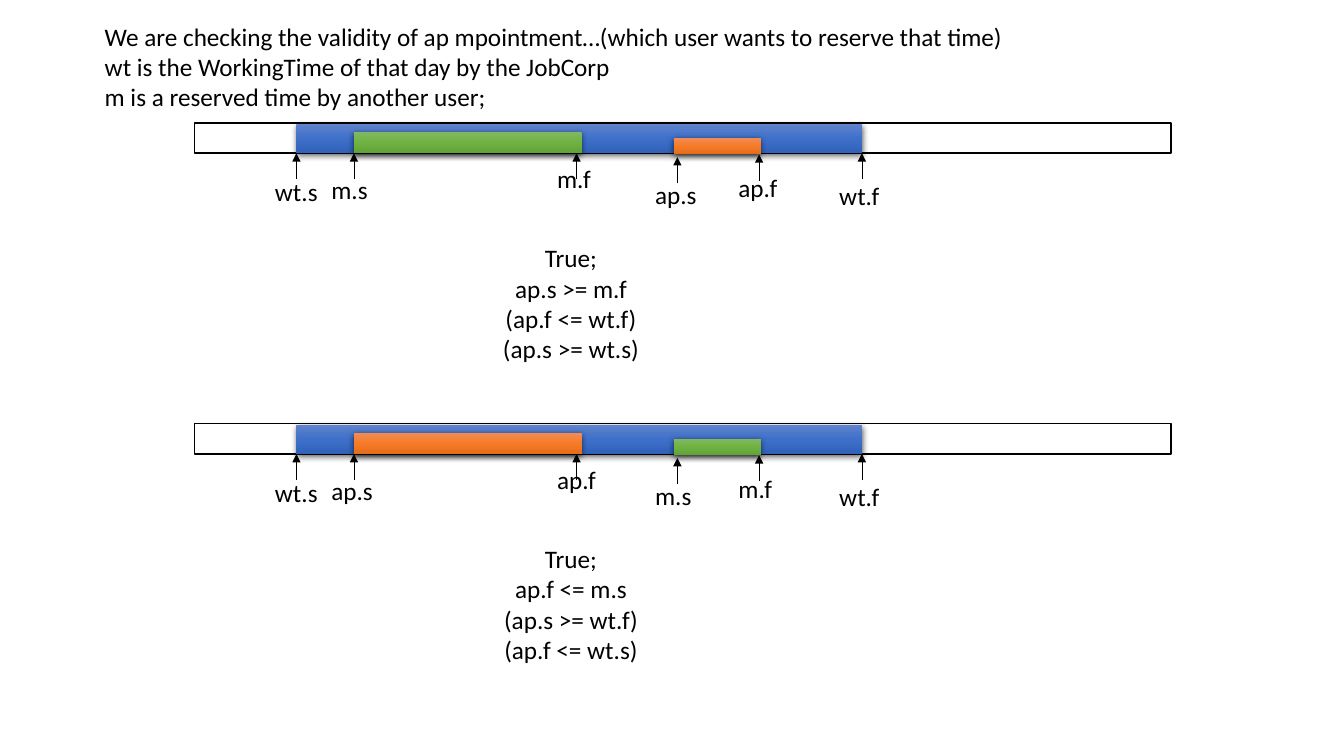
from copy import deepcopy

from lxml import etree
from pptx import Presentation
from pptx.dml.color import RGBColor
from pptx.enum.shapes import MSO_CONNECTOR, MSO_SHAPE
from pptx.enum.text import MSO_AUTO_SIZE, PP_ALIGN
from pptx.oxml.ns import qn
from pptx.util import Cm, Pt

RECT = MSO_SHAPE.RECTANGLE
STRAIGHT = MSO_CONNECTOR.STRAIGHT
FIT = MSO_AUTO_SIZE.SHAPE_TO_FIT_TEXT
LEFT, CENTER = PP_ALIGN.LEFT, PP_ALIGN.CENTER

BLUE = ["6183CB", "3E70CA", "3062BB"]
GREEN = ["81B861", "6FB242", "62A336"]
ORANGE = ["F18C57", "F67B28", "E56C19"]


def rgb(color):
    return RGBColor.from_string(color)


class Deck:
    font, size, ink, paper = "Calibri", 18, "000000", "FFFFFF"

    def __init__(self, width, height):
        self.prs = Presentation()
        self.prs.slide_width, self.prs.slide_height = Cm(width), Cm(height)
        self.s = self.prs.slides.add_slide(self.prs.slide_layouts[6])

    def rect(self, x, y, w, h):
        sp = self.s.shapes.add_shape(RECT, Cm(x), Cm(y), Cm(w), Cm(h))
        sp.shadow.inherit = False
        return sp

    def frame(self, x, y, w, h):
        sp = self.rect(x, y, w, h)
        sp.fill.solid()
        sp.fill.fore_color.rgb = rgb(self.paper)
        sp.line.color.rgb = rgb(self.ink)
        sp.line.width = Pt(1)

    def bar(self, x, y, w, h, colors):
        sp = self.rect(x, y, w, h)
        sp.line.fill.background()
        # Three-stop gradient, running downwards
        sp.fill.gradient()
        sp.fill.gradient_angle = 270
        spPr = sp._element.spPr
        stops = spPr.find(".//" + qn("a:gsLst"))
        stops.append(deepcopy(stops[0]))
        for stop, position, color in zip(sp.fill.gradient_stops, (0, 0.5, 1), colors):
            stop.position = position
            stop.color.rgb = rgb(color)
        # Soft shadow below
        shadow = etree.SubElement(
            spPr.find(qn("a:effectLst")), qn("a:outerShdw"),
            blurRad=str(Pt(4.5)), dist=str(Pt(1.5)), dir="5400000",
            algn="ctr", rotWithShape="0")
        black = etree.SubElement(shadow, qn("a:srgbClr"), val=self.ink)
        etree.SubElement(black, qn("a:alpha"), val="63000")

    def up_arrow(self, x, tip, length=0.66):
        line = self.s.shapes.add_connector(
            STRAIGHT, Cm(x), Cm(tip + length), Cm(x), Cm(tip))
        line.line.color.rgb = rgb(self.ink)
        line.line.width = Pt(0.5)
        etree.SubElement(line.line._get_or_add_ln(), qn("a:tailEnd"), type="triangle")
        etree.SubElement(line._element.spPr, qn("a:effectLst"))

    def text(self, x, y, w, h, paragraphs, align=LEFT, wrap=True):
        tf = self.s.shapes.add_textbox(Cm(x), Cm(y), Cm(w), Cm(h)).text_frame
        tf.word_wrap = wrap
        tf.auto_size = FIT
        for i, content in enumerate(paragraphs):
            p = tf.add_paragraph() if i else tf.paragraphs[0]
            p.text = content
            p.alignment = align
            for r in p.runs:
                r.font.name = self.font
                r.font.size = Pt(self.size)
                r.font.color.rgb = rgb(self.ink)


# Label widths, and per mark: arrow x, arrow tip, label left, label top
LABEL_WIDTHS = {"wt.s": 1.6, "wt.f": 1.52, "ap.s": 1.57,
                "ap.f": 1.5, "m.s": 1.42, "m.f": 1.37}
MARKS = [
    (7.47, 3.86, 6.68, 4.32),
    (8.92, 3.86, 8.1, 4.27),
    (14.53, 3.86, 13.79, 3.99),
    (17.07, 3.96, 16.26, 4.39),
    (19.13, 3.89, 18.36, 4.22),
    (21.72, 3.86, 20.9, 4.42),
]
CASE_STEP = 7.58
CASES = [
    (GREEN, ORANGE, ["wt.s", "m.s", "m.f", "ap.s", "ap.f", "wt.f"],
     ["True;", "ap.s >= m.f", "(ap.f <= wt.f)", "(ap.s >= wt.s)"]),
    (ORANGE, GREEN, ["wt.s", "ap.s", "ap.f", "m.s", "m.f", "wt.f"],
     ["True;", "ap.f <= m.s", "(ap.s >= wt.f)", "(ap.f <= wt.s)"]),
]


def main():
    deck = Deck(33.87, 19.05)

    for i, (first, second, labels, conditions) in enumerate(CASES):
        dy = i * CASE_STEP
        # Day, working time and the two bookings
        deck.frame(4.9, 3.1 + dy, 24.61, 0.76)
        deck.bar(7.47, 3.12 + dy, 14.25, 0.74, BLUE)
        deck.bar(8.92, 3.33 + dy, 5.74, 0.53, first)
        deck.bar(16.99, 3.48 + dy, 2.18, 0.41, second)
        # Start and finish marks
        for label, (x, tip, left, top) in zip(labels, MARKS):
            deck.up_arrow(x, tip + dy)
            deck.text(left, top + dy, LABEL_WIDTHS[label], 1.02, [label], wrap=False)
        # Conditions
        deck.text(0.94, 5.99 + dy, 26.9, 3.33, conditions, CENTER)

    # Explanation
    deck.text(2.39, 0.41, 30.86, 2.57, [
        "We are checking the validity of ap mpointment…(which user wants to reserve "
        "that time)\nwt is the WorkingTime of that day by the JobCorp",
        "m is a reserved time by another user;",
    ])
    deck.prs.save("out.pptx")


if __name__ == "__main__":
    main()
